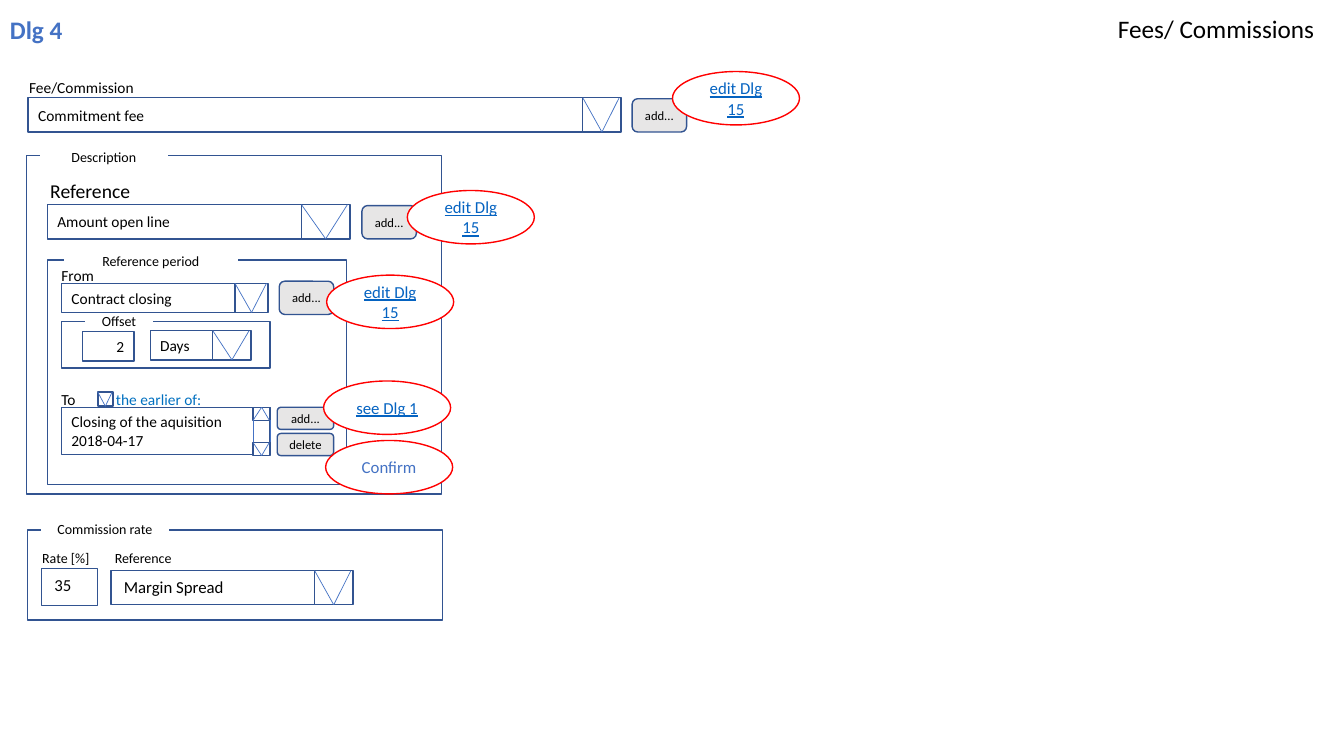
from lxml.etree import SubElement
from pptx import Presentation
from pptx.dml.color import RGBColor
from pptx.enum.shapes import MSO_CONNECTOR, MSO_SHAPE
from pptx.enum.text import MSO_ANCHOR, PP_ALIGN
from pptx.oxml.ns import qn
from pptx.util import Inches, Pt

COLORS = {
    "white": "FFFFFF", "black": "000000", "border": "325491", "accent": "4472C4",
    "button": "E7E6E6", "callout": "FF0000", "link": "0563C1", "hint": "0070C0",
}


def rgb(name):
    """Return the named colour."""
    return RGBColor.from_string(COLORS[name])


def write(frame, text, size, color="black", align=PP_ALIGN.LEFT, bold=None, underline=None):
    """Fill a text frame with evenly styled paragraphs."""
    frame.text = text
    for paragraph in frame.paragraphs:
        paragraph.alignment = align
        font = paragraph.font
        font.name, font.size, font.bold = "Calibri", Pt(size), bold
        font.color.rgb = rgb(color)
        for run in paragraph.runs:
            run.font.underline = underline


def label(slide, box, text, size, color="black", bold=None, wrap=True, indent=0):
    """Add free text at the given box."""
    caption = slide.shapes.add_textbox(*map(Inches, box))
    frame = caption.text_frame
    frame.word_wrap = wrap
    frame.margin_left = Inches(0.1 + indent)
    write(frame, text, size, color, bold=bold)


def panel(slide, box, text="", size=11, kind=MSO_SHAPE.RECTANGLE, fill="white",
          line="border", **style):
    """Add an outlined shape with optional vertically centred text."""
    shape = slide.shapes.add_shape(kind, *map(Inches, box))
    shape.shadow.inherit = False
    if fill:
        shape.fill.solid()
        shape.fill.fore_color.rgb = rgb(fill)
    else:
        shape.fill.background()
    shape.line.color.rgb = rgb(line)
    shape.line.width = Pt(1)
    if text:
        shape.text_frame.vertical_anchor = MSO_ANCHOR.MIDDLE
        write(shape.text_frame, text, size, **style)


def stroke(slide, *ends):
    """Add a thin straight line from x, y to x, y."""
    connector = slide.shapes.add_connector(MSO_CONNECTOR.STRAIGHT, *map(Inches, ends))
    connector.line.color.rgb = rgb("accent")
    connector.line.width = Pt(0.5)
    SubElement(connector._element.spPr, qn("a:effectLst"))


def arrow_box(slide, box, up=False):
    """Add a small box holding a V mark, or an inverted one."""
    panel(slide, box)
    left, top, width, height = box
    base, tip = (top + height, top) if up else (top, top + height)
    for side in (left, left + 0.95 * width):
        stroke(slide, side, base, left + width / 2, tip)


def dropdown(slide, left, top, field, arrow, height, text=""):
    """Add a field with a drop-down box at its right."""
    panel(slide, (left, top, field, height), text)
    arrow_box(slide, (left + field, top, arrow, height))


def group_box(slide, box, title_box, title):
    """Add a frame whose top edge is broken by its title."""
    panel(slide, box)
    panel(slide, title_box, title, 10, line="white", align=PP_ALIGN.CENTER)


def button(slide, box, text="add..."):
    """Add a grey rounded push button."""
    panel(slide, box, text, 9, MSO_SHAPE.ROUNDED_RECTANGLE, "button", align=PP_ALIGN.CENTER)


def callout(slide, left, top, text, color="link", underline=True):
    """Add a red ellipse pointing to another dialog."""
    panel(slide, (left, top, 1.26, 0.53), text, 12, MSO_SHAPE.OVAL, line="callout",
          color=color, align=PP_ALIGN.CENTER, underline=underline)


def period_end(slide):
    """Add the list of end dates with its scroll bar."""
    label(slide, (0.51, 3.82, 0.36, 0.24), "To", 11, wrap=False)
    label(slide, (0.85, 3.82, 1.66, 0.29), "the earlier of:", 11, "hint", indent=0.2)
    panel(slide, (0.61, 4.04, 2.07, 0.47), "Closing of the aquisition\n2018-04-17")
    arrow_box(slide, (2.51, 4.39, 0.17, 0.13))
    arrow_box(slide, (2.51, 4.04, 0.17, 0.13), up=True)
    for edge in (2.51, 2.68):
        stroke(slide, edge, 4.17, edge, 4.39)
    arrow_box(slide, (0.97, 3.89, 0.15, 0.14))


def description(slide):
    """Add the description group with its reference period."""
    group_box(slide, (0.26, 1.54, 4.12, 3.36), (0.4, 1.38, 1.26, 0.35), "Description")
    dropdown(slide, 0.47, 2.03, 2.52, 0.48, 0.34, "Amount open line")
    label(slide, (0.4, 1.73, 1, 0.34), "Reference", 14, wrap=False)
    group_box(slide, (0.47, 2.58, 2.97, 2.23), (0.64, 2.5, 1.71, 0.17), "Reference period")
    group_box(slide, (0.61, 3.19, 2.07, 0.46), (0.85, 3.11, 0.66, 0.15), "Offset")
    dropdown(slide, 0.61, 2.81, 1.72, 0.33, 0.29, "Contract closing")
    label(slide, (0.51, 2.59, 0.53, 0.24), "From", 11, wrap=False)
    dropdown(slide, 1.49, 3.28, 0.62, 0.38, 0.29, "Days")
    panel(slide, (0.82, 3.29, 0.51, 0.29), "2", fill=None, align=PP_ALIGN.RIGHT)
    period_end(slide)


def commission_rate(slide):
    """Add the commission rate group."""
    group_box(slide, (0.27, 5.26, 4.12, 0.89), (0.41, 5.1, 1.26, 0.29), "Commission rate")
    panel(slide, (0.41, 5.64, 0.56, 0.37))
    dropdown(slide, 1.1, 5.66, 2.02, 0.38, 0.34)
    label(slide, (0.32, 5.4, 0.93, 0.27), "Rate [%]", 10)
    label(slide, (1.04, 5.4, 0.93, 0.27), "Reference", 10)
    label(slide, (1.13, 5.67, 1.52, 0.3), "Margin Spread", 12)
    label(slide, (0.44, 5.65, 0.42, 0.3), "35", 12)


def main():
    """Build the dialog mock-up and save it."""
    deck = Presentation()
    deck.slide_width, deck.slide_height = Inches(13.33), Inches(7.5)
    slide = deck.slides.add_slide(deck.slide_layouts[6])

    label(slide, (0, 0.09, 0.72, 0.4), "Dlg 4", 18, "accent", bold=True, wrap=False)
    label(slide, (10.99, 0.08, 2.17, 0.4), "Fees/ Commissions", 18, wrap=False)
    dropdown(slide, 0.28, 0.97, 5.5, 0.38, 0.34, "Commitment fee")
    label(slide, (0.19, 0.73, 2.53, 0.29), "Fee/Commission", 11)
    description(slide)
    commission_rate(slide)

    for left, top in ((2.77, 2.79), (3.59, 2.04), (6.27, 0.98)):
        button(slide, (left, top, 0.54, 0.33))
    for top, action in ((4.04, "add..."), (4.3, "delete")):
        button(slide, (2.75, top, 0.56, 0.22), action)

    for left, top in ((6.67, 0.71), (4.04, 1.89), (3.24, 2.73)):
        callout(slide, left, top, "edit Dlg 15")
    callout(slide, 3.21, 3.78, "see Dlg 1")
    callout(slide, 3.23, 4.37, "Confirm", "accent", None)
    deck.save("out.pptx")


main()
